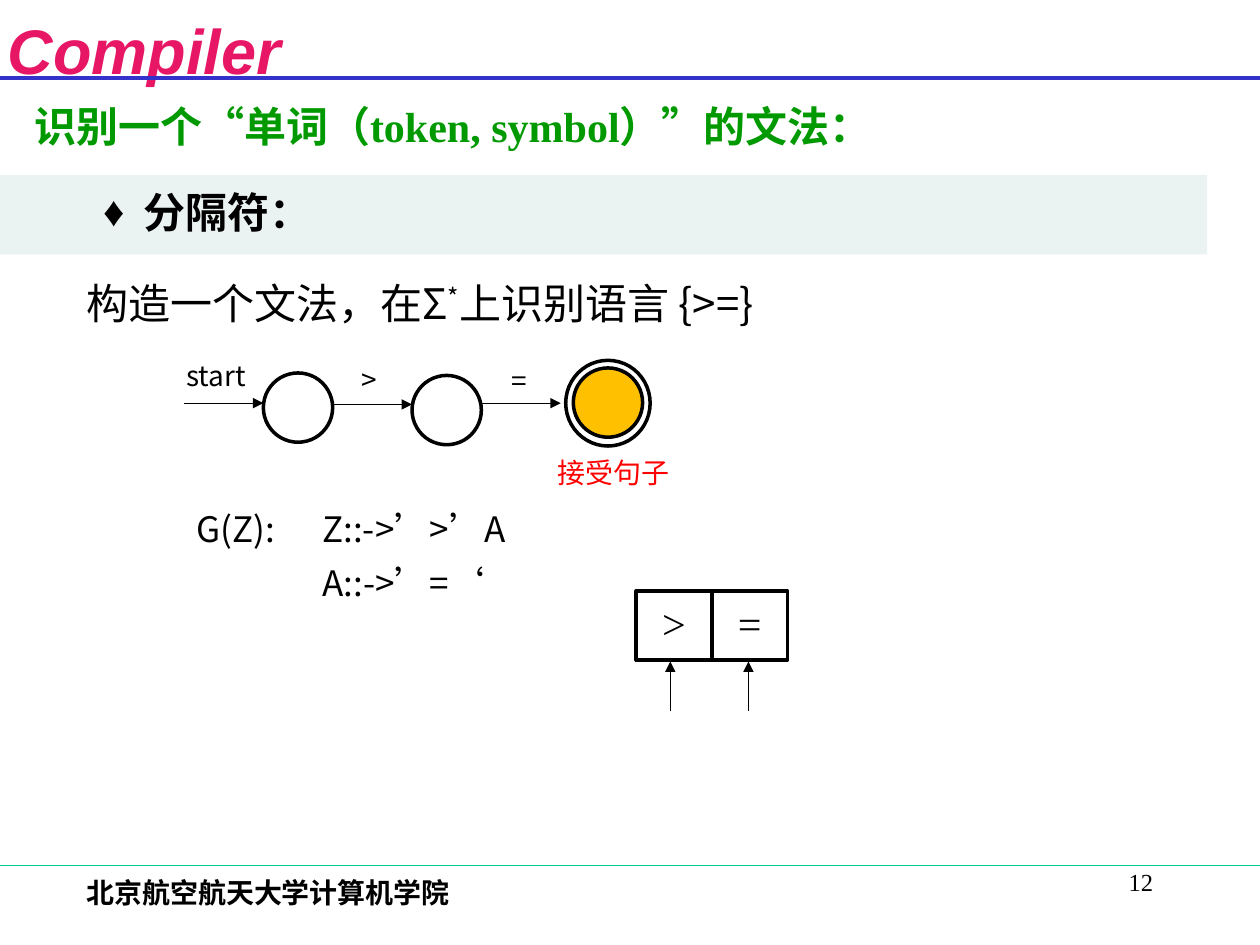
import pptx
import pptx.dml.color
import pptx.enum.shapes
import pptx.enum.text
import pptx.oxml
import pptx.oxml.ns
import pptx.util
from pptx.util import Inches

RGBColor = pptx.dml.color.RGBColor
BLACK = RGBColor(0x00, 0x00, 0x00)
WHITE = RGBColor(0xFF, 0xFF, 0xFF)
RED = RGBColor(0xFF, 0x00, 0x00)
GOLD = RGBColor(0xFF, 0xC0, 0x00)
GREEN = RGBColor(0x00, 0x99, 0x00)
TEAL = RGBColor(0x00, 0xCC, 0x99)
BLUE = RGBColor(0x33, 0x33, 0xCC)
PINK = RGBColor(0xE8, 0x17, 0x66)
PALE = RGBColor(0xD9, 0xE6, 0xE6)

SERIF = "Times New Roman"
SANS = "Noto Sans CJK SC"
ALIGN = pptx.enum.text.PP_ALIGN
ANCHOR = pptx.enum.text.MSO_ANCHOR
SHAPE = pptx.enum.shapes.MSO_SHAPE


def add_xml(parent, tag, attributes="", inner=""):
    namespace = pptx.oxml.ns.nsdecls("a")
    parent.append(pptx.oxml.parse_xml(
        f"<a:{tag} {namespace} {attributes}>{inner}</a:{tag}>"))


def style(paragraph, size, font=SANS, color=BLACK, bold=None, align=ALIGN.LEFT):
    paragraph.alignment = align
    paragraph.font.size = pptx.util.Pt(size)
    paragraph.font.name = font
    paragraph.font.bold = bold
    paragraph.font.color.rgb = color
    for run in paragraph.runs:
        add_xml(run._r.get_or_add_rPr(), "ea", f'typeface="{SANS}"')


def add_box(slide, left, top, width, height):
    """Add an empty wrapping text box and return its text frame."""
    box = slide.shapes.add_textbox(
        Inches(left), Inches(top), Inches(width), Inches(height))
    box.text_frame.word_wrap = True
    return box.text_frame


def add_text(slide, left, top, width, height, text, size, **look):
    frame = add_box(slide, left, top, width, height)
    frame.text = text
    style(frame.paragraphs[0], size, **look)
    return frame


def add_outlined(slide, kind, left, top, width, height, fill=WHITE):
    shape = slide.shapes.add_shape(
        kind, Inches(left), Inches(top), Inches(width), Inches(height))
    shape.shadow.inherit = False
    shape.fill.solid()
    shape.fill.fore_color.rgb = fill
    shape.line.color.rgb = BLACK
    shape.line.width = pptx.util.Pt(2)
    return shape


def add_line(slide, start, end, color=BLACK, weight=0.75, arrow=False):
    line = slide.shapes.add_connector(
        pptx.enum.shapes.MSO_CONNECTOR.STRAIGHT,
        *(Inches(value) for value in (*start, *end)))
    line.line.color.rgb = color
    line.line.width = pptx.util.Pt(weight)
    if arrow:
        add_xml(line.line._get_or_add_ln(), "tailEnd", 'type="triangle"')
    add_xml(line._element.spPr, "effectLst")


def add_header(slide, left, top, width):
    brand = add_text(slide, left, top + 0.04, 2.29, 0.62, "Compiler", 36,
                     font="Arial", color=PINK, bold=True, align=ALIGN.CENTER)
    brand.margin_left = brand.margin_right = 0
    brand.word_wrap = False
    brand.paragraphs[0].font.italic = True
    add_line(slide, (left, top + 0.62), (left + width, top + 0.62), BLUE, 2.25)


def add_footer(slide, left, top, width):
    add_text(slide, left + 0.59, top + 0.03, 4.14, 0.5,
             "北京航空航天大学计算机学院", 16, font=SERIF, bold=True)
    add_text(slide, left + 7.17, top - 0.04, 2.08, 0.5, "12", 14,
             font=SERIF, align=ALIGN.RIGHT)
    add_line(slide, (left, top), (left + width, top), TEAL)


def place_title(slide, left, top, width, height):
    title = slide.shapes.title
    title.left, title.top = Inches(left), Inches(top)
    title.width, title.height = Inches(width), Inches(height)
    frame = title.text_frame
    frame.text = "识别一个“单词（token, symbol）”的文法："
    frame.vertical_anchor = ANCHOR.TOP
    frame.auto_size = pptx.enum.text.MSO_AUTO_SIZE.NONE
    style(frame.paragraphs[0], 24, font=SERIF, color=GREEN, bold=True)


def add_topic_band(slide, left, top, width, height):
    band = add_outlined(slide, SHAPE.RECTANGLE, left, top, width, height, PALE)
    band.line.fill.background()
    fill_color = band._element.spPr.find(
        pptx.oxml.ns.qn("a:solidFill")).find(pptx.oxml.ns.qn("a:srgbClr"))
    add_xml(fill_color, "alpha", 'val="50000"')
    frame = band.text_frame
    frame.vertical_anchor = ANCHOR.MIDDLE
    topic = frame.paragraphs[0]
    topic.text = "分隔符："
    topic.line_spacing = 0.9
    properties = topic._p.get_or_add_pPr()
    properties.set("marL", str(Inches(1.04)))
    properties.set("indent", str(Inches(-0.32)))
    add_xml(properties, "buFont", f'typeface="{SERIF}"')
    add_xml(properties, "buChar", 'char="♦"')
    style(topic, 24, font=SERIF, bold=True)


def add_task(slide, left, top, width, height):
    task = add_box(slide, left, top, width, height).paragraphs[0]
    for text in ("构造一个文法，在Σ", "*", "上识别语言 {>=}"):
        task.add_run().text = text
    task.runs[1].font._element.set("baseline", "30000")
    style(task, 24)


def add_automaton(slide, left, top):
    """Draw start, two states and the double-ringed accepting state."""
    size = 0.55
    add_outlined(slide, SHAPE.OVAL, left + 3.11, top + 0.06, 0.67, 0.68)
    states = ((0.71, 0.16, WHITE), (1.89, 0.18, WHITE), (3.17, 0.12, GOLD))
    for x, y, fill in states:
        add_outlined(slide, SHAPE.OVAL, left + x, top + y, size, size, fill)
    for x, y in ((0.08, 0.4), (1.26, 0.41), (2.44, 0.4)):
        add_line(slide, (left + x, top + y), (left + x + 0.63, top + y), arrow=True)
    labels = (("start", 0, 0, 1.26, BLACK), (">", 1.39, 0.03, 0.29, BLACK),
              ("=", 2.58, 0.04, 0.29, BLACK), ("接受句子", 2.95, 0.77, 1.45, RED))
    for text, x, y, width, color in labels:
        add_text(slide, left + x, top + y, width, 0.37, text, 16, color=color)


def add_grammar(slide, left, top, width):
    for row, rule in enumerate(("G(Z):\tZ::->’>’A", "\tA::->’=‘")):
        paragraph = add_box(slide, left, top + row * 0.43, width, 0.44).paragraphs[0]
        paragraph.text = rule
        add_xml(paragraph._p.get_or_add_pPr(), "tabLst",
                inner=f'<a:tab pos="{Inches(1)}" algn="l"/>')
        style(paragraph, 20)


def add_input_tape(slide, left, top, cell_width, cell_height):
    """Draw the symbol cells, each with a reading arrow below it."""
    for column, (symbol, arrow_x) in enumerate(((">", 0.27), ("=", 0.89))):
        cell = add_outlined(slide, SHAPE.RECTANGLE, left + column * cell_width,
                            top, cell_width, cell_height)
        cell.text_frame.vertical_anchor = ANCHOR.TOP
        paragraph = cell.text_frame.paragraphs[0]
        paragraph.text = symbol
        style(paragraph, 24, font=SERIF, align=ALIGN.CENTER)
        add_line(slide, (left + arrow_x, top + 0.95),
                 (left + arrow_x, top + 0.56), arrow=True)


def main():
    deck = pptx.Presentation()
    deck.slide_width, deck.slide_height = Inches(10), Inches(7.5)
    slide = deck.slides.add_slide(deck.slide_layouts.get_by_name("Title Only"))
    add_header(slide, 0, 0, 10)
    add_footer(slide, 0, 6.87, 10)
    place_title(slide, 0.17, 0.75, 8.17, 0.5)
    add_topic_band(slide, 0, 1.39, 9.58, 0.63)
    add_task(slide, 0.59, 2.15, 8.55, 0.5)
    add_automaton(slide, 1.38, 2.8)
    add_grammar(slide, 1.46, 3.98, 3.86)
    add_input_tape(slide, 5.05, 4.69, 0.6, 0.55)
    deck.save("out.pptx")


if __name__ == "__main__":
    main()
